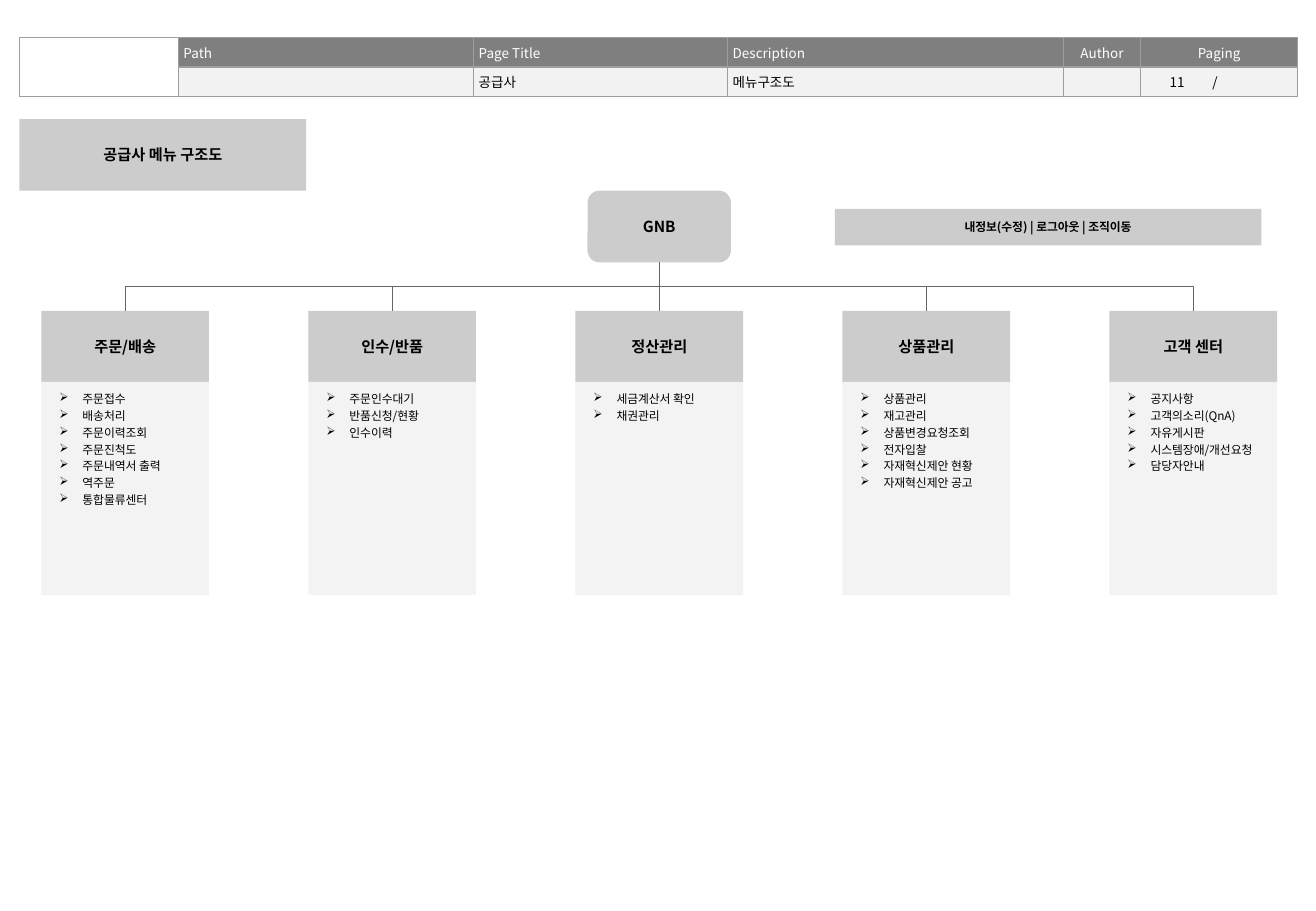
from dataclasses import dataclass

from lxml import etree
from pptx import Presentation
from pptx import util as u
from pptx.dml.color import RGBColor
from pptx.enum import shapes, text
from pptx.oxml import ns


@dataclass(frozen=True)
class Theme:
    """Colours, font and type sizes of the deck."""
    font: str = "Noto Sans CJK KR"
    ink: str = "000000"
    white: str = "FFFFFF"
    header: str = "7F7F7F"
    cell: str = "F2F2F2"
    border: str = "9E9E9E"
    node: str = "CCCCCC"
    panel: str = "F3F3F3"
    link: str = "666666"
    heading: int = 9
    table: int = 8
    small: int = 7
    stroke: float = 0.75


@dataclass(frozen=True)
class Box:
    """A rectangle in inches."""
    left: float
    top: float
    width: float
    height: float

    def lengths(self):
        """Return the four values as lengths."""
        return [u.Inches(v) for v in (self.left, self.top, self.width, self.height)]


THEME = Theme()
CENTER, LEFT, RIGHT = text.PP_ALIGN.CENTER, text.PP_ALIGN.LEFT, text.PP_ALIGN.RIGHT
SHAPE, LINK = shapes.MSO_SHAPE, shapes.MSO_CONNECTOR
MENUS = [
    ("주문/배송", ["주문접수", "배송처리", "주문이력조회", "주문진척도",
               "주문내역서 출력", "역주문", "통합물류센터"]),
    ("인수/반품", ["주문인수대기", "반품신청/현황", "인수이력"]),
    ("정산관리", ["세금계산서 확인", "채권관리"]),
    ("상품관리", ["상품관리", "재고관리", "상품변경요청조회", "전자입찰",
              "자재혁신제안 현황", "자재혁신제안 공고"]),
    ("고객 센터", ["공지사항", "고객의소리(QnA)", "자유게시판",
               "시스템장애/개선요청", "담당자안내"]),
]
HEADER_COLUMNS = [1.31, 2.43, 2.09, 2.76, 0.64, 0.4, 0.42, 0.47]
HEADER_ROWS = [
    ["", "Path", "Page Title", "Description", "Author", "Paging", "", ""],
    ["", "", "공급사", "메뉴구조도", "", "11", "/", ""],
]


def add_xml(parent, tag, **attributes):
    """Append a drawing element and return it."""
    return etree.SubElement(parent, ns.qn(f"a:{tag}"), attributes)


def add_span(para, words, size, color=THEME.ink, bold=False):
    """Add one formatted run for Latin and Korean text."""
    span = para.add_run()
    span.text = words
    span.font.size = u.Pt(size)
    span.font.bold = bold
    span.font.color.rgb = RGBColor.from_string(color)
    span.font.name = THEME.font
    add_xml(span.font._element, "ea", typeface=THEME.font)


def style_shape(shape, fill, anchor):
    """Give a shape a flat fill and even text margins."""
    shape.shadow.inherit = False
    shape.fill.solid()
    shape.fill.fore_color.rgb = RGBColor.from_string(fill)
    shape.line.fill.background()
    frame = shape.text_frame
    frame.word_wrap = True
    frame.auto_size = text.MSO_AUTO_SIZE.NONE
    frame.vertical_anchor = anchor
    frame.margin_left = frame.margin_right = u.Inches(0.1)
    frame.margin_top = frame.margin_bottom = u.Inches(0.1)


def label_node(shape, words, size=THEME.heading):
    """Format a shape as a grey node with a centred bold label."""
    style_shape(shape, THEME.node, text.MSO_ANCHOR.MIDDLE)
    para = shape.text_frame.paragraphs[0]
    para.alignment = CENTER
    add_span(para, words, size, bold=True)


def add_node(page, box, words, kind=SHAPE.RECTANGLE, size=THEME.heading):
    """Add a labelled node and return it."""
    node = page.shapes.add_shape(kind, *box.lengths())
    label_node(node, words, size)
    return node


def add_title(page, box, words):
    """Turn the title placeholder into a rounded node."""
    title = page.shapes.title
    title.left, title.top, title.width, title.height = box.lengths()
    outline = add_xml(title.element.spPr, "prstGeom", prst="roundRect")
    add_xml(outline, "avLst")
    label_node(title, words)


def draw_borders(cell, hidden):
    """Draw the cell borders except on the hidden sides."""
    properties = cell._tc.get_or_add_tcPr()
    for side in "LRTB":
        edge = add_xml(properties, f"ln{side}", w=str(u.Pt(THEME.stroke)))
        if side in hidden:
            add_xml(edge, "noFill")
        else:
            add_xml(add_xml(edge, "solidFill"), "srgbClr", val=THEME.border)


def fill_cell(cell, words, row, column):
    """Format one header table cell by its place in the grid."""
    hidden = {(1, 5): "R", (1, 6): "LR", (1, 7): "L"}.get((row, column), "")
    draw_borders(cell, hidden)
    if column == 0:
        cell.fill.background()
    else:
        cell.fill.solid()
        cell.fill.fore_color.rgb = RGBColor.from_string((THEME.header, THEME.cell)[row])
    cell.vertical_anchor = text.MSO_ANCHOR.MIDDLE
    cell.margin_top = cell.margin_bottom = u.Inches(0.04)
    cell.margin_left = cell.margin_right = u.Inches(0.02 if words == "/" else 0.04)
    para = cell.text_frame.paragraphs[0]
    para.alignment = RIGHT if words == "11" else CENTER if column > 3 else LEFT
    if words:
        add_span(para, words, THEME.table, (THEME.white, THEME.ink)[row])
    else:
        add_xml(para._p, "endParaRPr", sz=str(THEME.table * 100))


def add_header(page, box):
    """Add the page information table."""
    table = page.shapes.add_table(2, len(HEADER_COLUMNS), *box.lengths()).table
    table.first_row = table.horz_banding = False
    for column, width in zip(table.columns, HEADER_COLUMNS):
        column.width = u.Inches(width)
    for row, labels in enumerate(HEADER_ROWS):
        table.rows[row].height = u.Inches(box.height / 2)
        for column, words in enumerate(labels):
            fill_cell(table.cell(row, column), words, row, column)
    table.cell(0, 0).merge(table.cell(1, 0))
    table.cell(0, 5).merge(table.cell(0, 7))


def add_menu(page, box, name, entries):
    """Add a menu heading with its bulleted panel and return the heading."""
    heading = add_node(page, Box(box.left, box.top, box.width, box.height / 4), name)
    body = Box(box.left, box.top + box.height / 4, box.width, box.height * 3 / 4)
    panel = page.shapes.add_shape(SHAPE.RECTANGLE, *body.lengths())
    style_shape(panel, THEME.panel, text.MSO_ANCHOR.TOP)
    frame = panel.text_frame
    for index, entry in enumerate(entries):
        para = frame.add_paragraph() if index else frame.paragraphs[0]
        properties = para._p.get_or_add_pPr()
        properties.set("marL", str(u.Inches(0.24)))
        properties.set("indent", str(u.Inches(-0.19)))
        add_xml(add_xml(properties, "buClr"), "srgbClr", val=THEME.ink)
        add_xml(properties, "buChar", char="➢")
        para.alignment = LEFT
        para.line_spacing = 0.83
        para.space_before = u.Pt(3 if index else 0)
        add_span(para, entry, THEME.small)
    return heading


def add_branch(page, root, heading):
    """Link the root node down to a menu heading."""
    start, end = root.left + root.width // 2, heading.left + heading.width // 2
    top, bottom = root.top + root.height, heading.top
    if abs(end - start) < u.Inches(0.01):
        link = page.shapes.add_connector(LINK.STRAIGHT, start, top, end, bottom)
        link.begin_connect(root, 2)
        link.end_connect(heading, 0)
    else:
        side = 1 if end > start else -1
        middle, center = (start + end) // 2, (top + bottom) // 2
        reach, half = abs(end - start) // 2, side * (bottom - top) // 2
        link = page.shapes.add_connector(
            LINK.ELBOW, middle + half, center - reach, middle - half, center + reach)
        link.rotation = 270 if side > 0 else 90
    link.line.color.rgb = RGBColor.from_string(THEME.link)
    link.line.width = u.Pt(THEME.stroke)
    add_xml(link._element.spPr, "effectLst")


def add_menu_tree(page, box):
    """Add the root node, the evenly spaced menus and their links."""
    width, menu_height = 1.38, 2.34
    pitch = (box.width - width) / (len(MENUS) - 1)
    root_box = Box(box.left + (box.width - 1.18) / 2, box.top, 1.18, 0.59)
    root = add_node(page, root_box, "GNB", SHAPE.ROUNDED_RECTANGLE)
    top = box.top + box.height - menu_height
    for index, (name, entries) in enumerate(MENUS):
        menu_box = Box(box.left + index * pitch, top, width, menu_height)
        add_branch(page, root, add_menu(page, menu_box, name, entries))


def main():
    """Build the supplier menu page."""
    deck = Presentation()
    deck.slide_width, deck.slide_height = u.Inches(10.83), u.Inches(7.5)
    page = deck.slides.add_slide(deck.slide_layouts[5])
    add_header(page, Box(0.16, 0.31, 10.52, 0.48))
    add_title(page, Box(0.16, 0.98, 2.36, 0.59), "공급사 메뉴 구조도")
    add_menu_tree(page, Box(0.34, 1.57, 10.17, 3.33))
    add_node(page, Box(6.87, 1.72, 3.51, 0.3),
             "내정보(수정) | 로그아웃 | 조직이동", size=THEME.small)
    deck.save("out.pptx")


if __name__ == "__main__":
    main()
